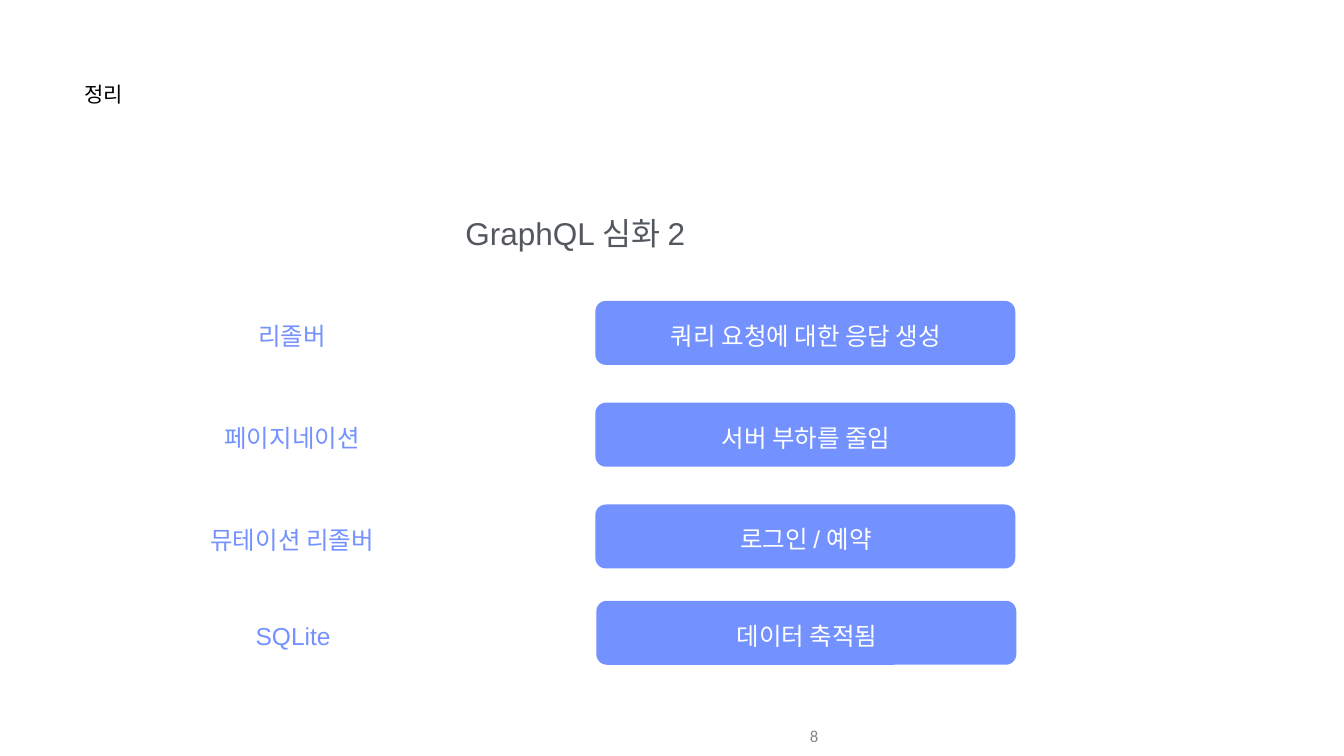
from pptx import Presentation
from pptx import util as u
from pptx.dml.color import RGBColor
from pptx.enum import shapes, text

WIDTH, HEIGHT = 26.66, 15
BLUE, WHITE, BLACK, SLATE, GREY = "7391FF", "FFFFFF", "000000", "53585F", "888888"

SECTION = "정리"
TITLE = "GraphQL 심화 2"
PAGE = "8"
# term, summary, (shift right, shift up) from the regular grid
ROWS = [
    ("리졸버", "쿼리 요청에 대한 응답 생성", (0, 0)),
    ("페이지네이션", "서버 부하를 줄임", (0, 0)),
    ("뮤테이션 리졸버", "로그인 / 예약", (0, 0)),
    ("SQLite", "데이터 축적됨", (0.02, 0.11)),
]

# Grid
TERM_X, TERM_W = 2.67, 6.25
BAR_X, BAR_W, BAR_H = 11.81, 8.33, 1.27
TOP, PITCH = 5.97, 2.02
TEXT_DROP, TEXT_H = 0.38, 0.62

LEFT, CENTER, RIGHT = text.PP_ALIGN.LEFT, text.PP_ALIGN.CENTER, text.PP_ALIGN.RIGHT


def rgb(color):
    return RGBColor.from_string(color)


def write(sp, words, size, color, align=CENTER, font="Arial",
          anchor=text.MSO_ANCHOR.MIDDLE, insets=(0.01,) * 4):
    tf = sp.text_frame
    sides = ("margin_left", "margin_top", "margin_right", "margin_bottom")
    frame = {"word_wrap": True, "vertical_anchor": anchor}
    frame.update(zip(sides, map(u.Inches, insets)))
    for name, value in frame.items():
        setattr(tf, name, value)
    p = tf.paragraphs[0]
    p.alignment = align
    r = p.add_run()
    r.text = words
    for name, value in {"name": font, "size": u.Pt(size)}.items():
        setattr(r.font, name, value)
    r.font.color.rgb = rgb(color)


def add_text(s, box, *args, **formats):
    write(s.shapes.add_textbox(*map(u.Inches, box)), *args, **formats)


def add_bar(s, box, words):
    sp = s.shapes.add_shape(shapes.MSO_SHAPE.ROUNDED_RECTANGLE, *map(u.Inches, box))
    sp.adjustments[0] = 0.164
    sp.shadow.inherit = False
    sp.fill.solid()
    sp.fill.fore_color.rgb = rgb(BLUE)
    sp.line.fill.background()
    # The uneven top inset lines the summary up with its term
    write(sp, words, 35, WHITE, insets=(0.04, 0.11, 0.01, 0.01))


def main():
    prs = Presentation()
    prs.slide_width, prs.slide_height = u.Inches(WIDTH), u.Inches(HEIGHT)
    s = prs.slides.add_slide(prs.slide_layouts[6])

    # Headings
    top = text.MSO_ANCHOR.TOP
    add_text(s, (1.67, 1.6, 4.86, 1.18), SECTION, 30, BLACK, LEFT, anchor=top)
    add_text(s, (2.64, 4.24, 17.54, 0.79), TITLE, 45, SLATE, anchor=top)

    # Terms and their summaries
    for i, (term, summary, (dx, up)) in enumerate(ROWS):
        y = TOP + i * PITCH - up
        add_text(s, (TERM_X + dx, y + TEXT_DROP, TERM_W, TEXT_H), term, 35, BLUE)
        add_bar(s, (BAR_X + dx, y, BAR_W, BAR_H), summary)

    # Page number
    add_text(s, (10.33, 14.21, 6, 0.79), PAGE, 24, GREY, RIGHT, "Calibri",
             insets=(0.1, 0.05, 0.1, 0.05))

    prs.save("out.pptx")


if __name__ == "__main__":
    main()
